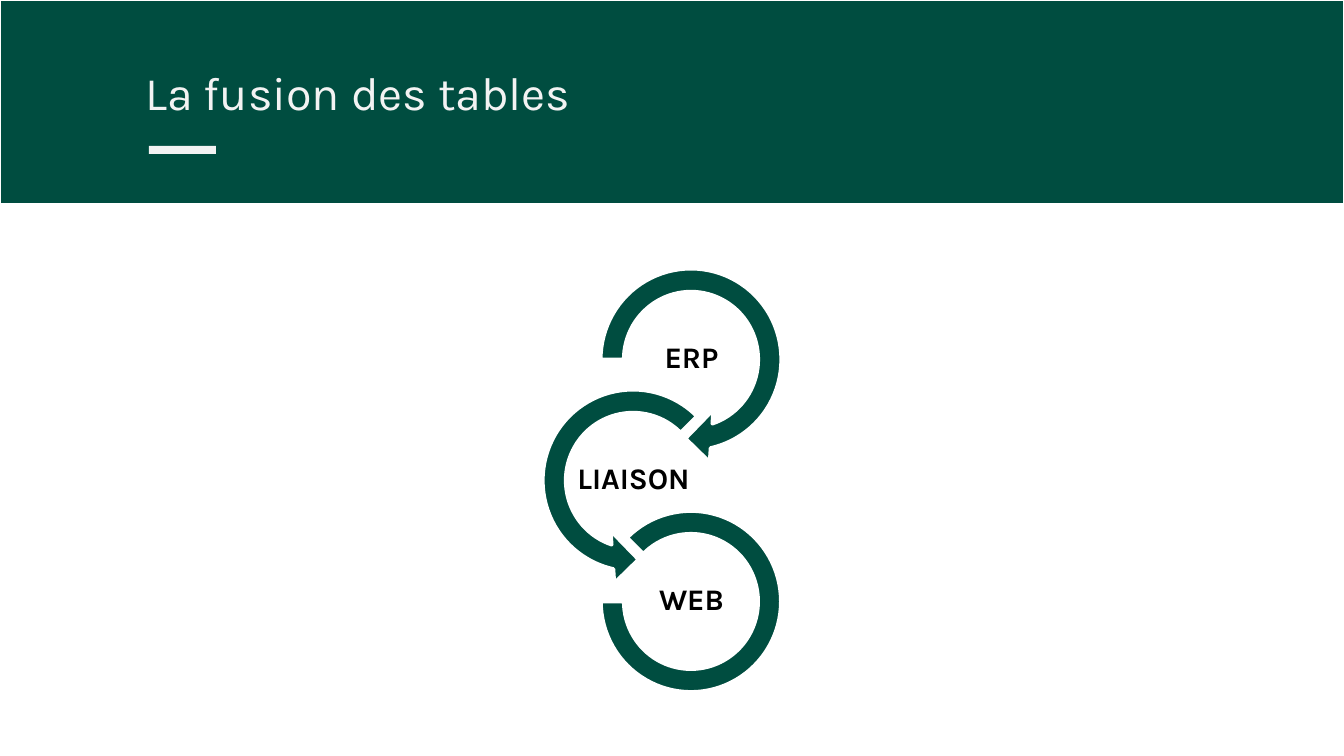
from pptx import Presentation
from pptx import util as u
from pptx.dml.color import RGBColor
from pptx.enum import shapes, text

TITLE = "La fusion des tables"
KIND = shapes.MSO_SHAPE
# label, shape, centre x, size, adjustments
LOOPS = [
    ("ERP", KIND.CIRCULAR_ARROW, 691, (210, 211), (0.11, 11.42, 45, 108, 0.125)),
    ("LIAISON", KIND.LEFT_CIRCULAR_ARROW, 633, (210, 211), (0.11, 11.42, 63, 189, 0.125)),
    ("WEB", KIND.BLOCK_ARC, 691, (180, 181), (135, 108, 0.127)),
]
FIRST, PITCH = 359, 121  # centre of the first loop, step to the next
LABEL = (117, 58)

THEME = {
    "font": "Karla", "title": 25, "label": 16,
    "green": "004D40", "pale": "F3F3F3", "white": "FFFFFF", "black": "000000",
}


def px(n):
    return round(n * u.Inches(10) / 1344)


def color(name):
    return RGBColor.from_string(THEME[name])


def place(part, x, y, w, h):
    part.left, part.top, part.width, part.height = map(px, (x, y, w, h))


def draw(home, kind, box, fill, line=0):
    part = home.add_shape(kind, *map(px, box))
    part.shadow.inherit = False
    part.fill.solid()
    part.fill.fore_color.rgb = color(fill)
    if line:
        part.line.color.rgb = color("white")
        part.line.width = u.Pt(line)
    else:
        part.line.fill.background()
    return part


def write(part, words, size, tint, inset, anchor, align, bold=False):
    frame = part.text_frame
    frame.text = words
    frame.word_wrap = True
    frame.auto_size = text.MSO_AUTO_SIZE.NONE
    frame.vertical_anchor = anchor
    frame.margin_left = frame.margin_right = u.Inches(inset)
    frame.margin_top = frame.margin_bottom = u.Inches(inset)
    line = frame.paragraphs[0]
    line.alignment = align
    font = line.runs[0].font
    font.name, font.size, font.bold = THEME["font"], u.Pt(THEME[size]), bold
    font.color.rgb = color(tint)
    return line


deck = Presentation()
deck.slide_width, deck.slide_height = px(1344), px(756)
slide = deck.slides.add_slide(deck.slide_layouts[5])
parts = slide.shapes

# Header band, title and accent bar
draw(parts, KIND.RECTANGLE, (0, 0, 1344, 204), "green", 0.75)
title = parts.title
place(title, 132, 50, 1253, 85)
write(title, TITLE, "title", "pale", 0.1, text.MSO_ANCHOR.TOP, text.PP_ALIGN.LEFT)
parts._spTree.append(title._element)  # bring the title above the band
draw(parts, KIND.RECTANGLE, (149, 146, 67, 8), "pale")

# Chain of loops, each with its label at the centre
chain = parts.add_group_shape().shapes
for i, (name, kind, mid, (w, h), bends) in enumerate(LOOPS):
    y = FIRST + i * PITCH
    loop = draw(chain, kind, (mid - w // 2, y - h // 2, w, h), "green", 2)
    for k, bend in enumerate(bends):
        loop.adjustments[k] = bend
    w, h = LABEL
    label = chain.add_textbox(*map(px, (mid - w // 2, y - h // 2, w, h)))
    line = write(label, name, "label", "black", 0.01,
                 text.MSO_ANCHOR.MIDDLE, text.PP_ALIGN.CENTER, True)
    line.line_spacing = 0.9

deck.save("out.pptx")
